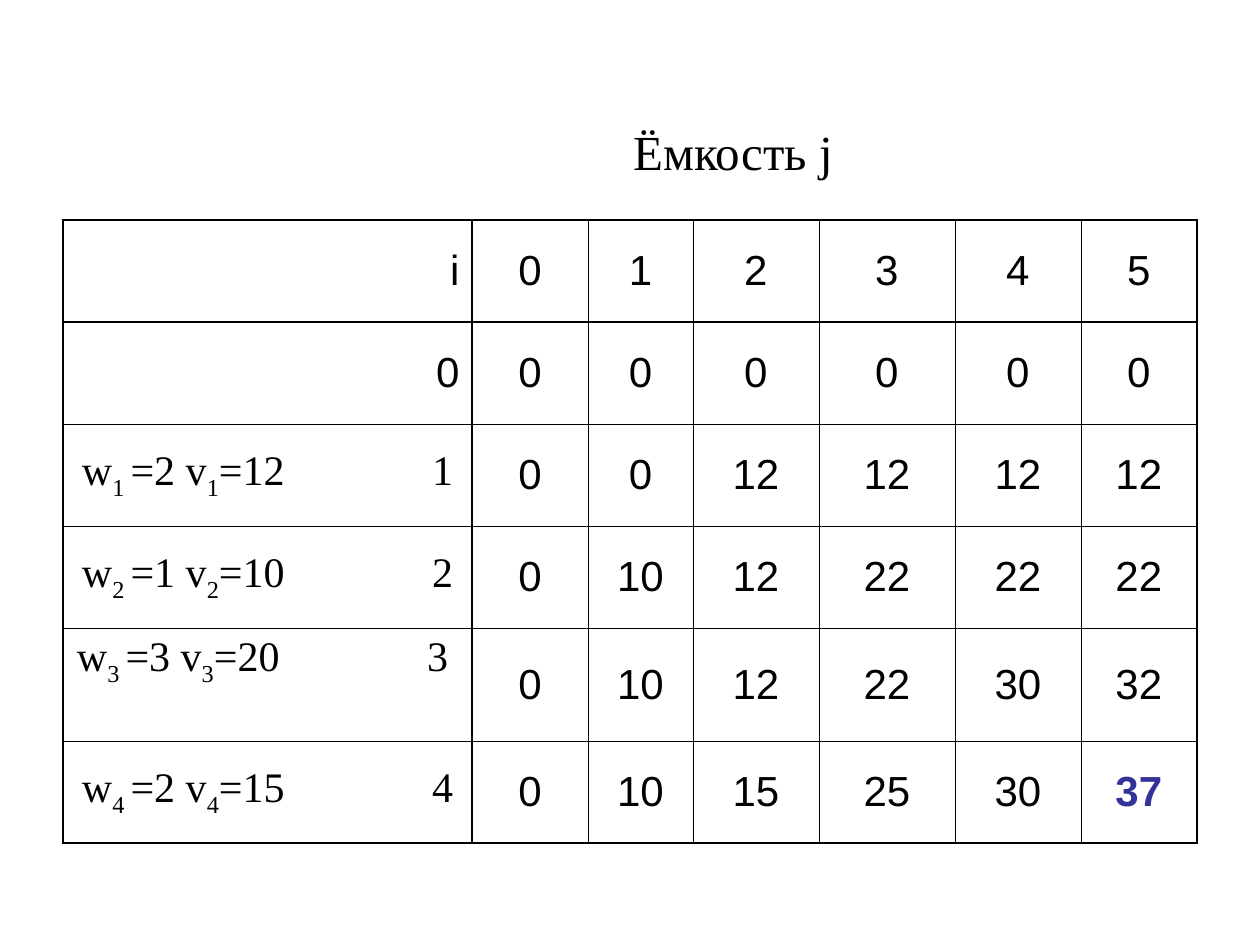
from lxml.etree import SubElement
from pptx import Presentation
from pptx.dml.color import RGBColor
from pptx.enum.text import MSO_ANCHOR, PP_ALIGN
from pptx.oxml.ns import qn
from pptx.util import Pt

SCALE = 914400 / 126
SANS, SERIF = "Arial", "Times New Roman"
BLACK, BLUE = "000000", "333399"
THIN, THICK = 0.45, 1.08
COLS = [409, 116, 105, 126, 136, 126, 116]
ROWS = [102, 102, 102, 102, 113, 102]
HEADS = ["i", "0"]
ITEMS = [(2, 12), (1, 10), (3, 20), (2, 15)]
VALUES = [
    [0, 1, 2, 3, 4, 5],
    [0, 0, 0, 0, 0, 0],
    [0, 0, 12, 12, 12, 12],
    [0, 10, 12, 22, 22, 22],
    [0, 10, 12, 22, 30, 32],
    [0, 10, 15, 25, 30, 37],
]


def px(count):
    """Turn pixels into EMU."""
    return round(count * SCALE)


def style(run, face, size=24, color=BLACK, bold=False):
    """Format one run."""
    font = run.font
    font.name, font.size, font.bold = face, Pt(size), bold
    font.color.rgb = RGBColor.from_string(color)


def add_title(slide):
    """Place the heading over the number columns."""
    title = slide.shapes.title
    title.left, title.top, title.width, title.height = map(px, (63, 105, 1134, 91))
    frame = title.text_frame
    frame.text = "Ёмкость j"
    frame.margin_left = px(219)
    frame.vertical_anchor = MSO_ANCHOR.MIDDLE
    para = frame.paragraphs[0]
    para.alignment = PP_ALIGN.CENTER
    style(para.runs[0], SERIF, 28)


def draw_edges(cell, row, col):
    """Draw thick lines round the grid, the header row and the first column."""
    thick = {
        "lnL": col < 2,
        "lnR": col in (0, len(COLS) - 1),
        "lnT": row < 2,
        "lnB": row in (0, len(ROWS) - 1),
    }
    props = cell._tc.get_or_add_tcPr()
    for tag, heavy in thick.items():
        width = Pt(THICK if heavy else THIN)
        line = SubElement(props, qn(f"a:{tag}"), w=str(width))
        fill = SubElement(line, qn("a:solidFill"))
        SubElement(fill, qn("a:srgbClr"), val=BLACK)


def write_cell(cell, text, align, color=BLACK, bold=False):
    """Write a plain value."""
    para = cell.text_frame.paragraphs[0]
    para.text = str(text)
    para.alignment = align
    style(para.runs[0], SANS, color=color, bold=bold)


def write_item(cell, num, weight, value):
    """Write an item's weight and value, with its number at a tab stop."""
    para = cell.text_frame.paragraphs[0]
    para.alignment = PP_ALIGN.LEFT
    tabs = SubElement(para._p.get_or_add_pPr(), qn("a:tabLst"))
    SubElement(tabs, qn("a:tab"), pos=str(px(350)), algn="l")
    parts = ["w", f"{num} ", f"={weight} v", f"{num}", f"={value}\t{num}"]
    for place, part in enumerate(parts):
        run = para.add_run()
        run.text = part
        style(run, SERIF)
        if place % 2:
            run._r.get_or_add_rPr().set("baseline", "-25000")
    cell.margin_left = px(19)
    if num == 3:
        cell.margin_left = px(14)
        cell.vertical_anchor = MSO_ANCHOR.TOP


def add_grid(slide):
    """Build the table of best values."""
    frame = slide.shapes.add_table(
        len(ROWS), len(COLS), px(63), px(220), px(sum(COLS)), px(sum(ROWS))
    )
    table = frame.table
    table.first_row = table.horz_banding = False
    for col, width in zip(table.columns, COLS):
        col.width = px(width)
    for row, height in zip(table.rows, ROWS):
        row.height = px(height)
    for row, values in enumerate(VALUES):
        for col in range(len(COLS)):
            cell = table.cell(row, col)
            cell.vertical_anchor = MSO_ANCHOR.MIDDLE
            draw_edges(cell, row, col)
            cell.fill.background()
            if col:
                best = (row, col) == (len(ROWS) - 1, len(COLS) - 1)
                color = BLUE if best else BLACK
                write_cell(cell, values[col - 1], PP_ALIGN.CENTER, color, best)
            elif row < len(HEADS):
                write_cell(cell, HEADS[row], PP_ALIGN.RIGHT)
            else:
                num = row - 1
                write_item(cell, num, *ITEMS[num - 1])


def main():
    """Build and save the slide."""
    deck = Presentation()
    deck.slide_width, deck.slide_height = px(1260), px(945)
    slide = deck.slides.add_slide(deck.slide_layouts[5])
    add_title(slide)
    add_grid(slide)
    deck.save("out.pptx")


if __name__ == "__main__":
    main()
